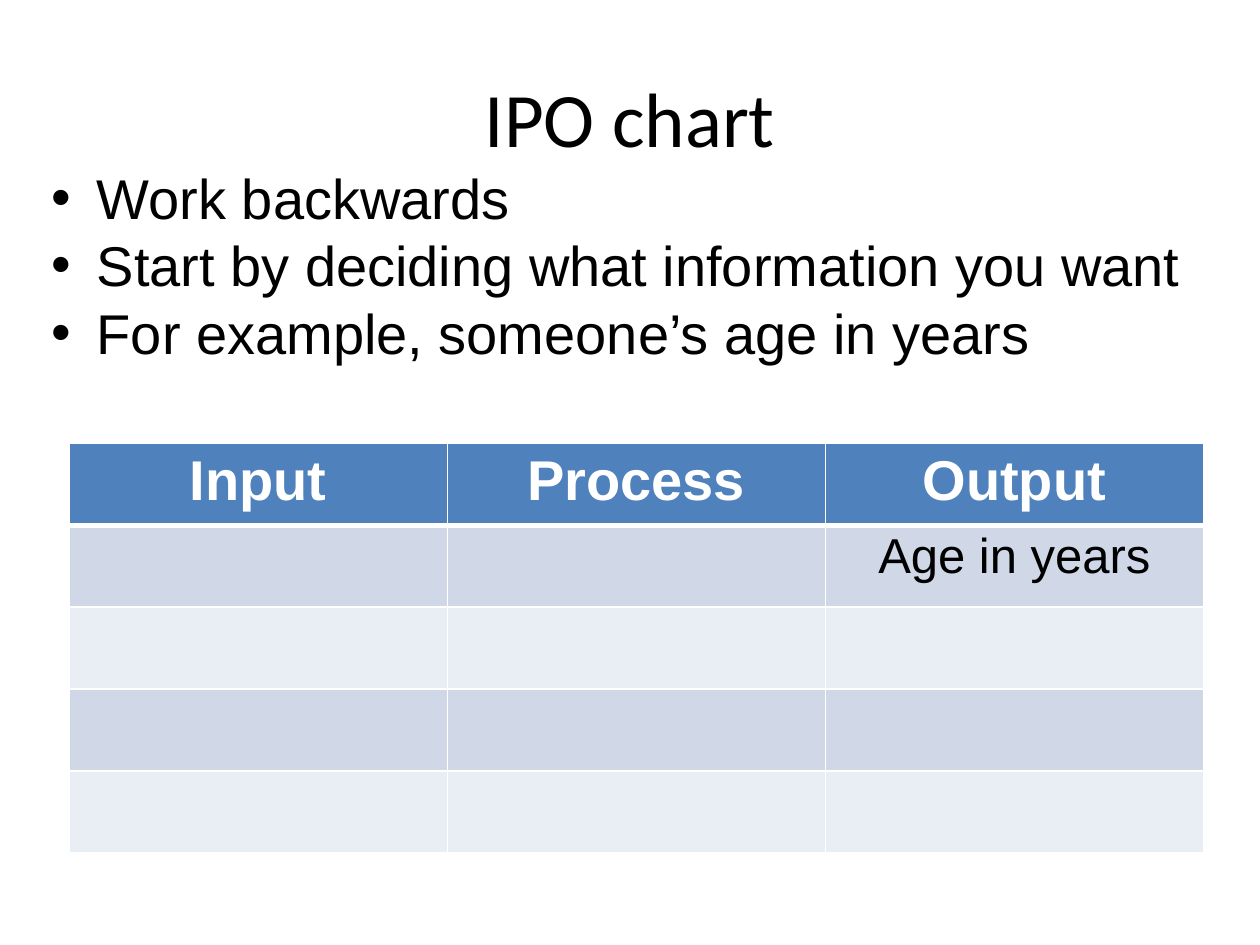
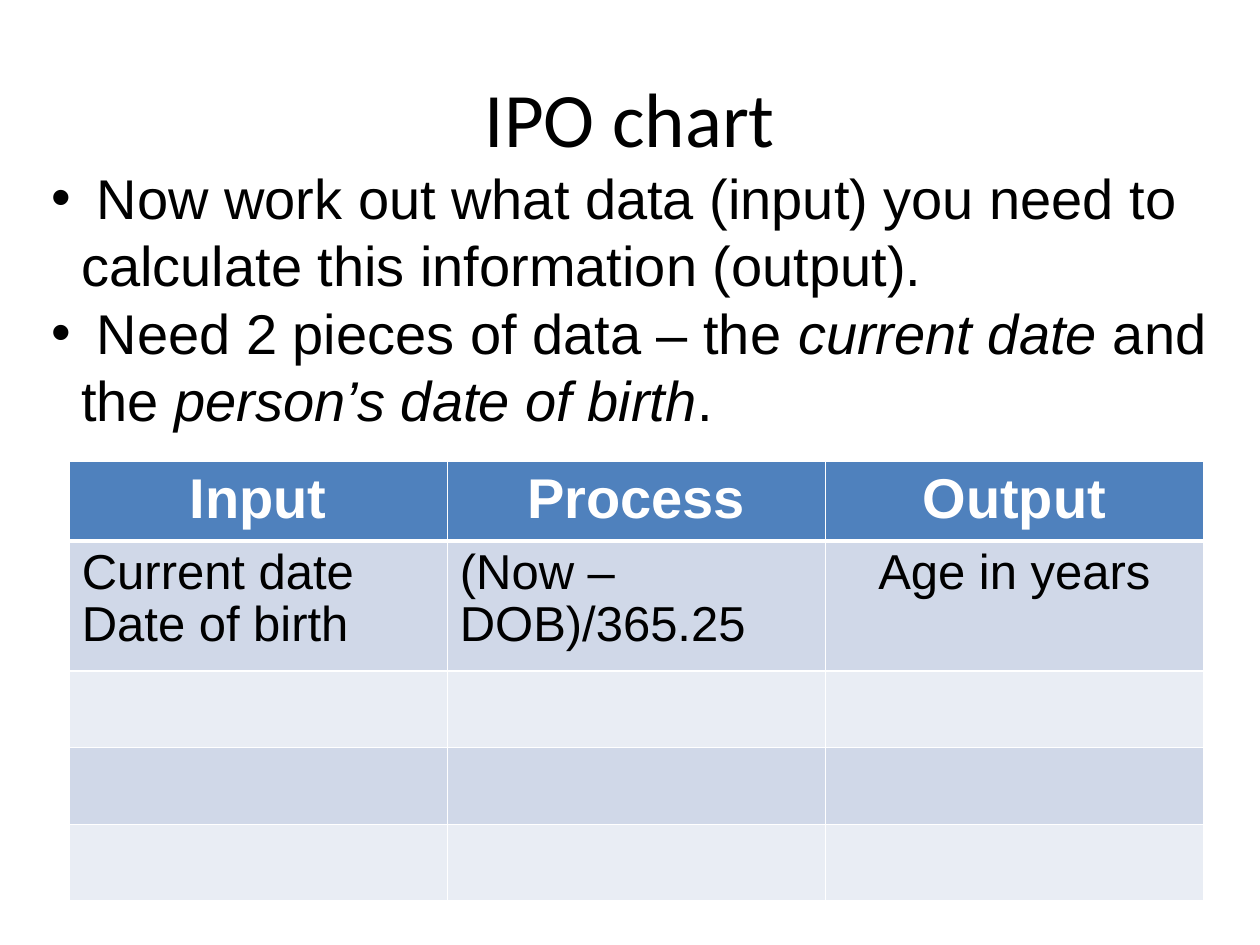
"""Build two slides that explain an IPO chart."""
from lxml import etree
from pptx import Presentation
from pptx import util as u
from pptx.dml.color import RGBColor
from pptx.enum import text
from pptx.oxml import ns

Pt = u.Pt
HUES = {"ink": "000000", "white": "FFFFFF", "head": "4F81BD",
        "odd": "D0D8E8", "even": "E9EDF4"}
HEADS = ["Input", "Process", "Output"]
LEFT, MID = text.PP_ALIGN.LEFT, text.PP_ALIGN.CENTER


def hue(name):
    """Return the named colour."""
    return RGBColor.from_string(HUES[name])


def node(parent, tag, **attrs):
    """Append a drawing element and return it."""
    return etree.SubElement(parent, ns.qn(tag), attrs)


def write(frame, lines, size=32, font="Arial", color="ink", bold=False,
          align=LEFT, space=None, bullet=False):
    """Fill a frame with lines, where asterisks enclose italic words."""
    frame.word_wrap = True
    for i, line in enumerate(lines):
        para = frame.add_paragraph() if i else frame.paragraphs[0]
        para.alignment = align
        if space:
            para.line_spacing = space
        if bullet:
            props = para._p.get_or_add_pPr()
            props.set("marL", str(Pt(17)))
            props.set("indent", str(Pt(-17)))
            node(props, "a:buFont", typeface="Arial")
            node(props, "a:buChar", char="•")
        for j, part in enumerate(line.split("*")):
            run = para.add_run()
            run.text = part
            run.font.size = Pt(size)
            run.font.name = font
            run.font.bold = bold
            run.font.italic = j % 2 == 1
            run.font.color.rgb = hue(color)


def add_box(slide, box):
    """Add a text box and return its frame."""
    return slide.shapes.add_textbox(*map(Pt, box)).text_frame


def add_title(slide, box, title):
    """Add the centred slide title."""
    frame = add_box(slide, box)
    frame.vertical_anchor = text.MSO_ANCHOR.MIDDLE
    write(frame, [title], size=44, font="Calibri", align=MID)


def add_points(slide, box, lines):
    """Add the bulleted text."""
    write(add_box(slide, box), lines, space=Pt(38.4), bullet=True)


def style(cell, fill, row):
    """Give a cell its white borders and its fill."""
    props = cell._tc.get_or_add_tcPr()
    for side in "LRTB":
        thick = (row, side) in ((0, "B"), (1, "T"))
        line = node(props, "a:ln" + side, w=str(Pt(3 if thick else 1)))
        node(node(line, "a:solidFill"), "a:srgbClr", val=HUES["white"])
    cell.fill.solid()
    cell.fill.fore_color.rgb = hue(fill)


def add_grid(slide, box, highs, entries):
    """Add the IPO table with one filled row below its heads."""
    grid = slide.shapes.add_table(len(highs), len(HEADS), *map(Pt, box)).table
    for col in grid.columns:
        col.width = Pt(box[2] / len(HEADS))
    for r, high in enumerate(highs):
        grid.rows[r].height = Pt(high)
        for c, head in enumerate(HEADS):
            cell = grid.cell(r, c)
            style(cell, ("odd" if r % 2 else "even") if r else "head", r)
            if r == 0:
                write(cell.text_frame, [head], color="white", bold=True, align=MID)
            elif r == 1 and entries[c]:
                write(cell.text_frame, entries[c], size=28, space=0.96,
                      align=MID if head == "Output" else LEFT)


def add_page(deck, points, depth, top, highs, entries):
    """Add one slide with title, table and points."""
    slide = deck.slides.add_slide(deck.slide_layouts[6])
    add_title(slide, (36, 21.6, 648, 90), "IPO chart")
    add_grid(slide, (39.6, top, 648, sum(highs)), highs, entries)
    add_points(slide, (22.3, 90, 675.4, depth), points)


def main():
    """Build and save the deck."""
    deck = Presentation()
    deck.slide_width, deck.slide_height = Pt(720), Pt(540)
    age = ["Age in years"]
    add_page(deck, [" Work backwards",
                    " Start by deciding what information you want",
                    " For example, someone’s age in years"],
             162.7, 253.4, [46.8] * 5, [[], [], age])
    add_page(deck, [" Now work out what data (input) you need to calculate "
                    "this information (output).",
                    " Need 2 pieces of data – the *current date* and the "
                    "*person’s date of birth*."],
             200.9, 263.5, [45.2, 74.2] + [43.9] * 3,
             [["Current date", "Date of birth"], ["(Now – DOB)/365.25"], age])
    deck.save("out.pptx")


if __name__ == "__main__":
    main()
